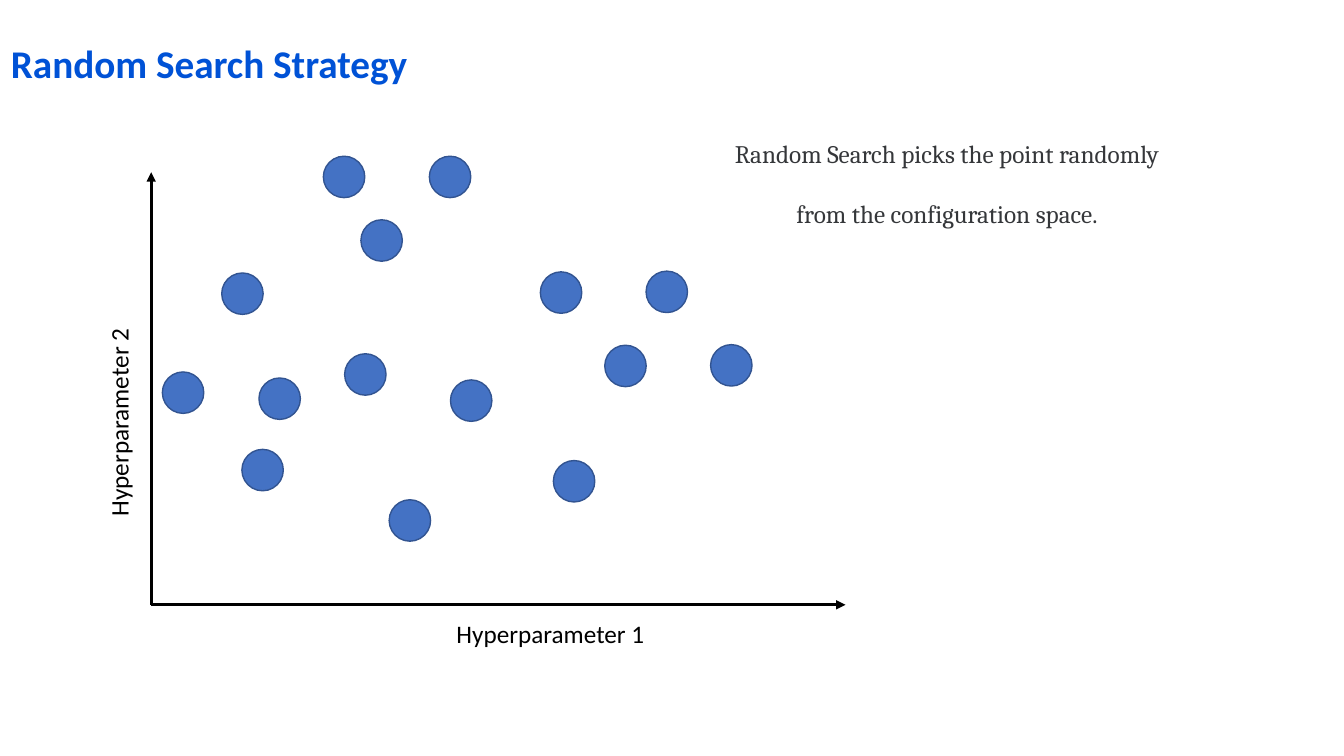
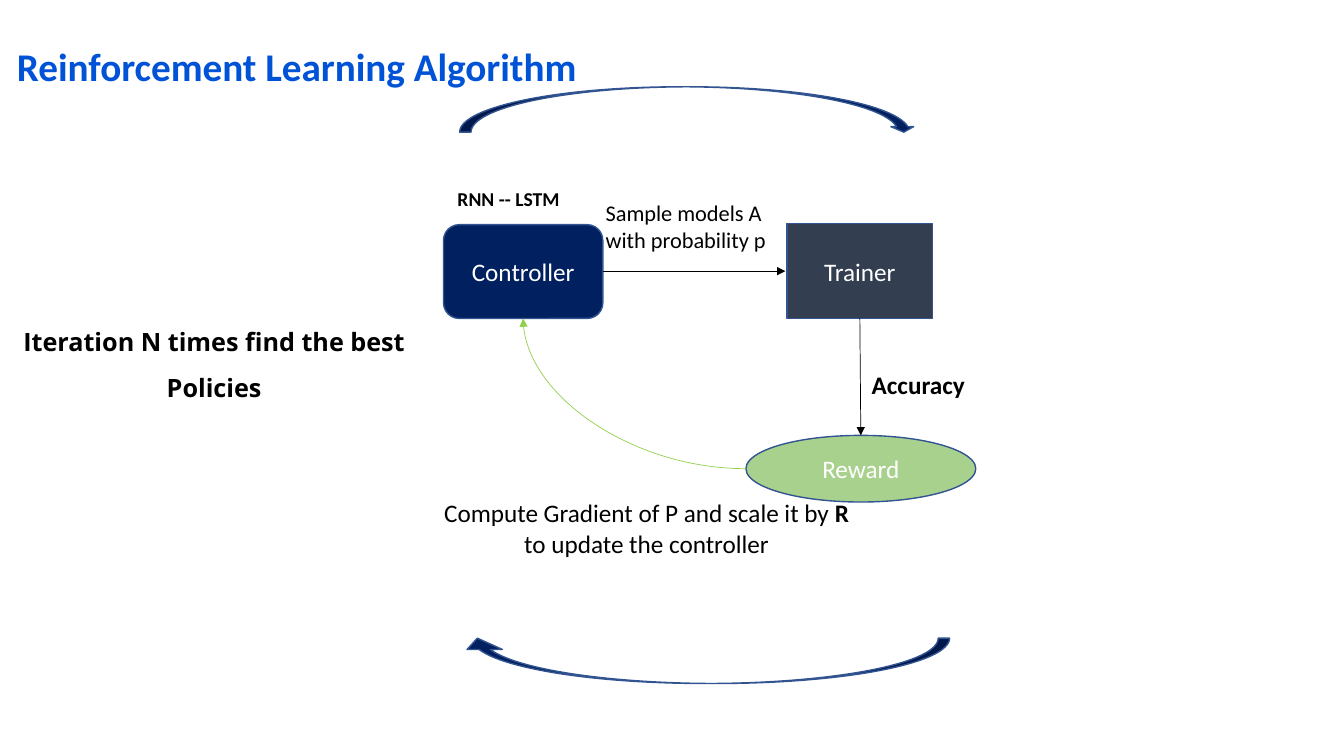
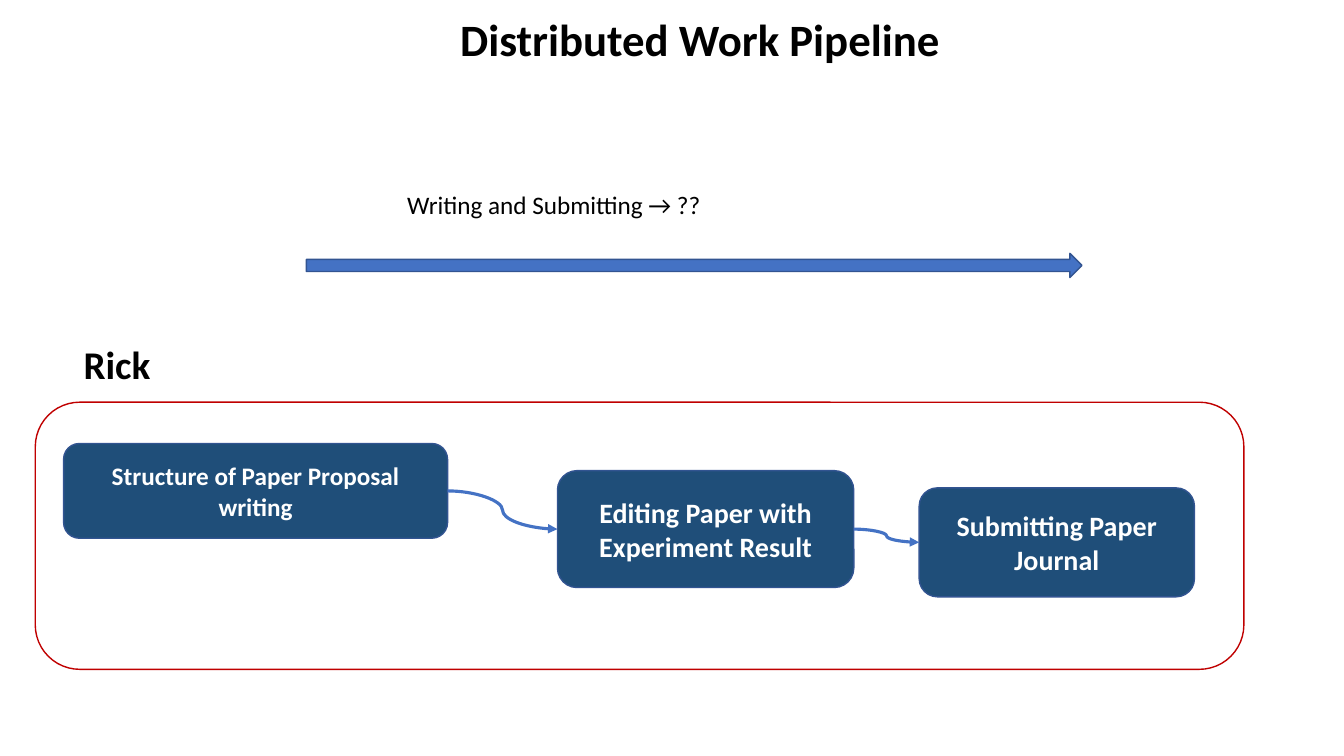
from dataclasses import dataclass

from lxml import etree
from pptx import Presentation
from pptx import util as u
from pptx.dml.color import RGBColor
from pptx.enum import shapes, text
from pptx.oxml import ns


@dataclass(frozen=True)
class Theme:
    font: str = "Calibri"
    serif: str = "Cambria"
    sans: str = "Open Sans"
    black: str = "000000"
    white: str = "FFFFFF"
    gray: str = "35373A"
    title_blue: str = "0052D6"
    blue: str = "4472C4"
    outline: str = "325491"
    navy: str = "002060"
    slate: str = "333F50"
    green: str = "A9D18E"
    lime: str = "92D050"
    teal: str = "1F4E79"
    red: str = "C00000"
    headline: int = 32
    title: int = 28
    step: int = 20
    body: int = 18
    note: int = 16
    small: int = 14


theme = Theme()
kinds = shapes.MSO_SHAPE
center = text.PP_ALIGN.CENTER


def place(slide, box, words="", kind=None, fill=None, line=theme.outline, color=theme.black,
          size=theme.body, bold=False, font=theme.font, align=None, spacing=None):
    area = [u.Pt(value) for value in box]
    if kind is None:
        shape = slide.shapes.add_textbox(*area)
    else:
        shape = slide.shapes.add_shape(kind, *area)
        shape.shadow.inherit = False
        shape.line.color.rgb = RGBColor.from_string(line)
        shape.line.width = u.Pt(1)
        if fill:
            shape.fill.solid()
            shape.fill.fore_color.rgb = RGBColor.from_string(fill)
        else:
            shape.fill.background()
    if words:
        frame = shape.text_frame
        frame.word_wrap = True
        paragraph = frame.paragraphs[0]
        paragraph.text = words
        paragraph.alignment = align
        paragraph.line_spacing = spacing
        paragraph.font.name = font
        paragraph.font.size = u.Pt(size)
        paragraph.font.bold = bold
        paragraph.font.color.rgb = RGBColor.from_string(color)
    return shape


def add_arrow(slide, ends, color=theme.black, width=0.5, kind=shapes.MSO_CONNECTOR.STRAIGHT):
    arrow = slide.shapes.add_connector(kind, *[u.Pt(value) for value in ends])
    arrow.line.color.rgb = RGBColor.from_string(color)
    arrow.line.width = u.Pt(width)
    etree.SubElement(arrow.line._get_or_add_ln(), ns.qn("a:tailEnd"), type="triangle")
    etree.SubElement(arrow._element.spPr, ns.qn("a:effectLst"))
    return arrow


presentation = Presentation()
presentation.slide_width = u.Pt(960)
presentation.slide_height = u.Pt(540)
search, learning, pipeline = [
    presentation.slides.add_slide(presentation.slide_layouts[6]) for _ in range(3)
]

for slide, box, words in [
    (search, (0.7, -9.4, 301, 65.5), "Random Search Strategy"),
    (learning, (5, -7.2, 419, 65.5), "Reinforcement Learning Algorithm"),
]:
    place(slide, box, words, color=theme.title_blue, size=theme.title, bold=True, spacing=2.0)

origin = (108, 432)
for tip in [(108, 123), (604, 432)]:
    add_arrow(search, origin + tip, width=2.25)
place(search, (319, 438, 161, 29), "Hyperparameter 1")
place(search, (4.3, 281, 161, 29), "Hyperparameter 2").rotation = 270
for left, top in [
    (158.4, 195), (461.5, 193.7), (231, 111.6), (306.7, 111.6), (386, 194.2),
    (116, 265.7), (507.6, 246.2), (257.8, 157), (185, 270), (432, 246.6),
    (172.8, 321), (395.3, 329), (246.2, 252.7), (321.8, 271.4), (278, 357),
]:
    place(search, (left, top, 29.6, 29.6), kind=kinds.OVAL, fill=theme.blue)
place(search, (511.2, 73.4, 330.5, 88.6),
      "Random Search picks the point randomly from the configuration space.",
      color=theme.gray, font=theme.serif, align=center, spacing=2.0)

for box, words, kind, fill in [
    ((316.8, 160.5, 113.8, 67), "Controller", kinds.ROUNDED_RECTANGLE, theme.navy),
    ((562.3, 159.8, 103.7, 67.7), "Trainer", kinds.RECTANGLE, theme.slate),
    ((532.8, 311, 164.2, 47.6), "Reward", kinds.OVAL, theme.green),
]:
    place(learning, box, words, kind, fill, color=theme.white, align=center)
add_arrow(learning, (430.6, 193.7, 561, 193.7))
add_arrow(learning, (614.2, 227.5, 614.9, 311))
feedback = add_arrow(learning, (532.8, 334.8, 373.7, 227.5), theme.lime,
                     kind=shapes.MSO_CONNECTOR.CURVE)
feedback._element.spPr.find(ns.qn("a:prstGeom")).set("prst", "curvedConnector2")
place(learning, (319.7, 130.3, 179, 24.5), "RNN -- LSTM", size=theme.small, bold=True)
place(learning, (425.5, 139, 155, 46), "Sample models A with probability p", size=theme.note)
place(learning, (615.6, 260.6, 81, 29), "Accuracy", bold=True)
gradient = place(learning, (308.2, 352, 307.4, 51), "Compute Gradient of P and scale it by ",
                 align=center)
for words, bold in [("R", True), (" to update the controller", False)]:
    run = gradient.text_frame.paragraphs[0].add_run()
    run.text = words
    run.font.bold = bold
for box, rotation, adjustments in [
    ((328.3, 62, 325.4, 32.4), 0, (0.25, 0.5, 0.12)),
    ((328.3, 455.8, 350, 32.4), 180, (0.25, 0.78, 0.25)),
]:
    loop = place(learning, box, kind=kinds.CURVED_DOWN_ARROW, fill=theme.navy)
    loop.rotation = rotation
    for index, value in enumerate(adjustments):
        loop.adjustments[index] = value
place(learning, (5, 218.9, 296, 153.4), "Iteration N times find the best Policies",
      bold=True, font=theme.sans, align=center, spacing=1.5)

place(pipeline, (290.2, 5, 419.8, 85), "Distributed Work Pipeline",
      size=theme.headline, bold=True, align=center)
place(pipeline, (283.7, 131.8, 447.8, 29), "Writing and Submitting → ??")
place(pipeline, (218.9, 181, 554, 17.3), kind=kinds.RIGHT_ARROW, fill=theme.blue)
place(pipeline, (52.6, 239.8, 177.8, 41), "Rick", size=theme.title, bold=True)
place(pipeline, (25.2, 287.3, 863.3, 190.8), kind=kinds.ROUNDED_RECTANGLE, line=theme.red)
previous = None
for box, words, size in [
    ((45.4, 316.8, 274.3, 67.7), "Structure of Paper Proposal writing", theme.body),
    ((398.2, 336.2, 211.7, 83.5), "Editing Paper with Experiment Result", theme.step),
    ((656.6, 348.5, 196.6, 77.8), "Submitting Paper Journal", theme.step),
]:
    place(pipeline, box, words, kinds.ROUNDED_RECTANGLE, theme.teal,
          color=theme.white, size=size, bold=True, align=center)
    left, top, width, height = box
    middle = top + height / 2
    if previous:
        add_arrow(pipeline, previous + (left, middle), theme.blue, 2.25,
                  shapes.MSO_CONNECTOR.CURVE)
    previous = (left + width, middle)

presentation.save("out.pptx")
